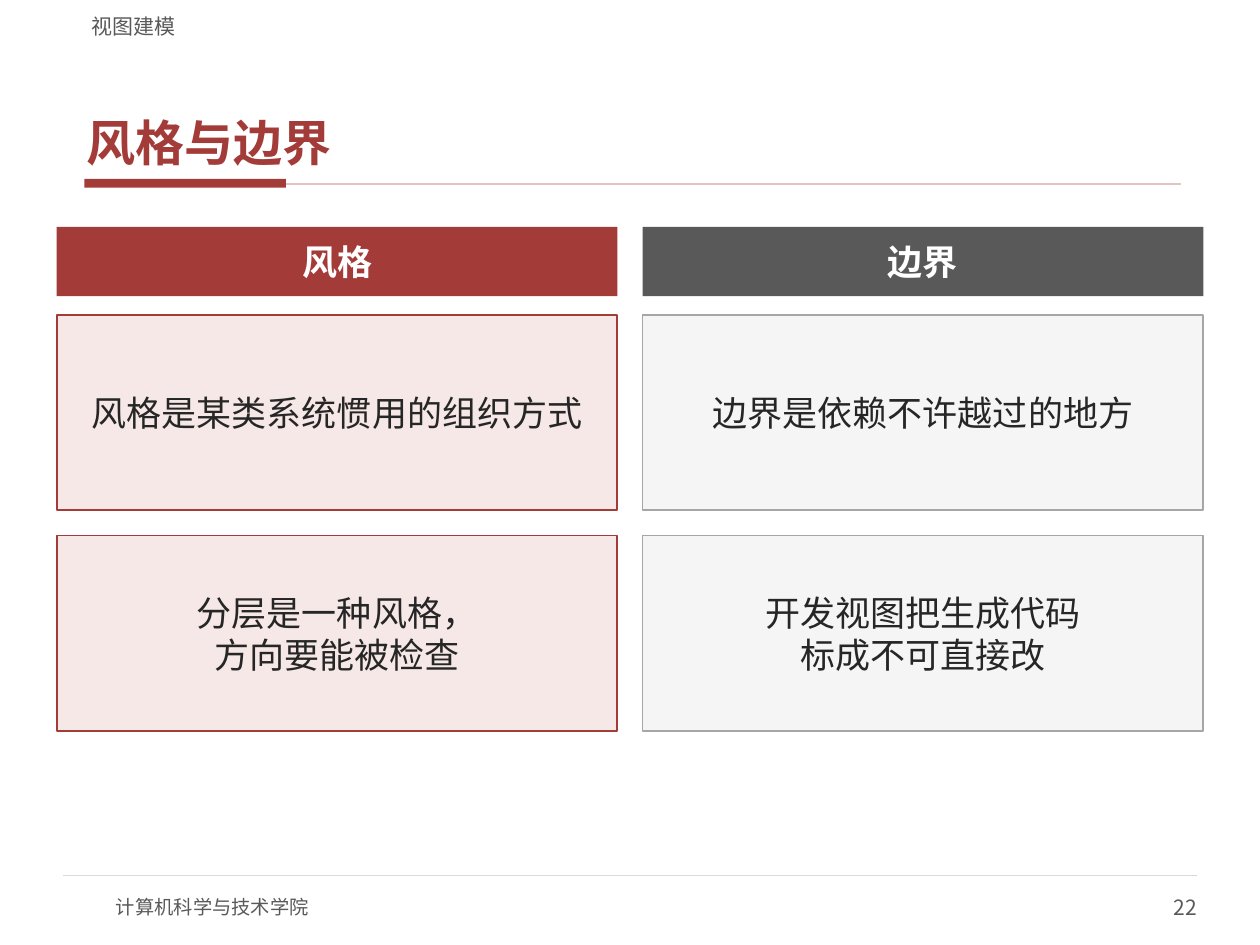
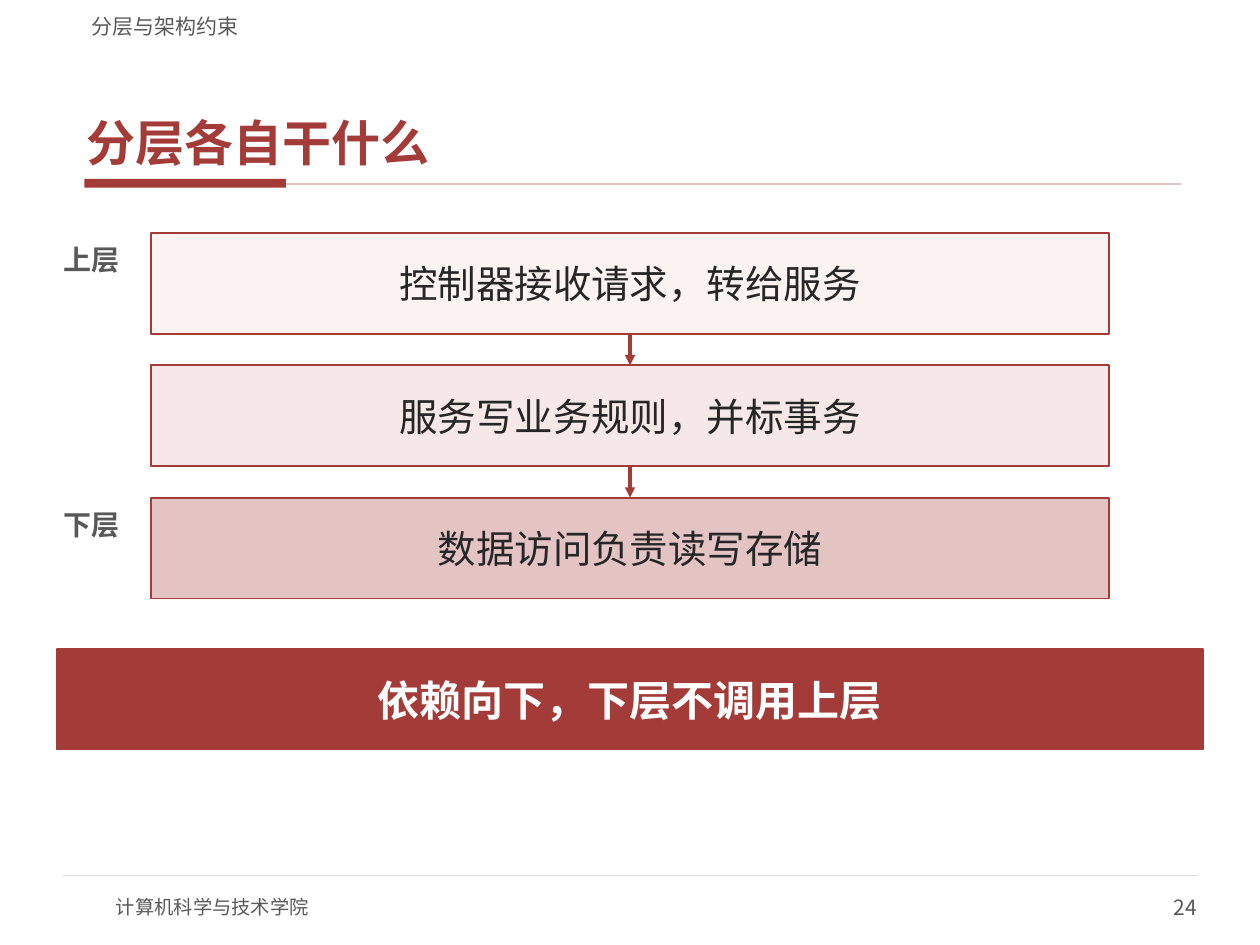
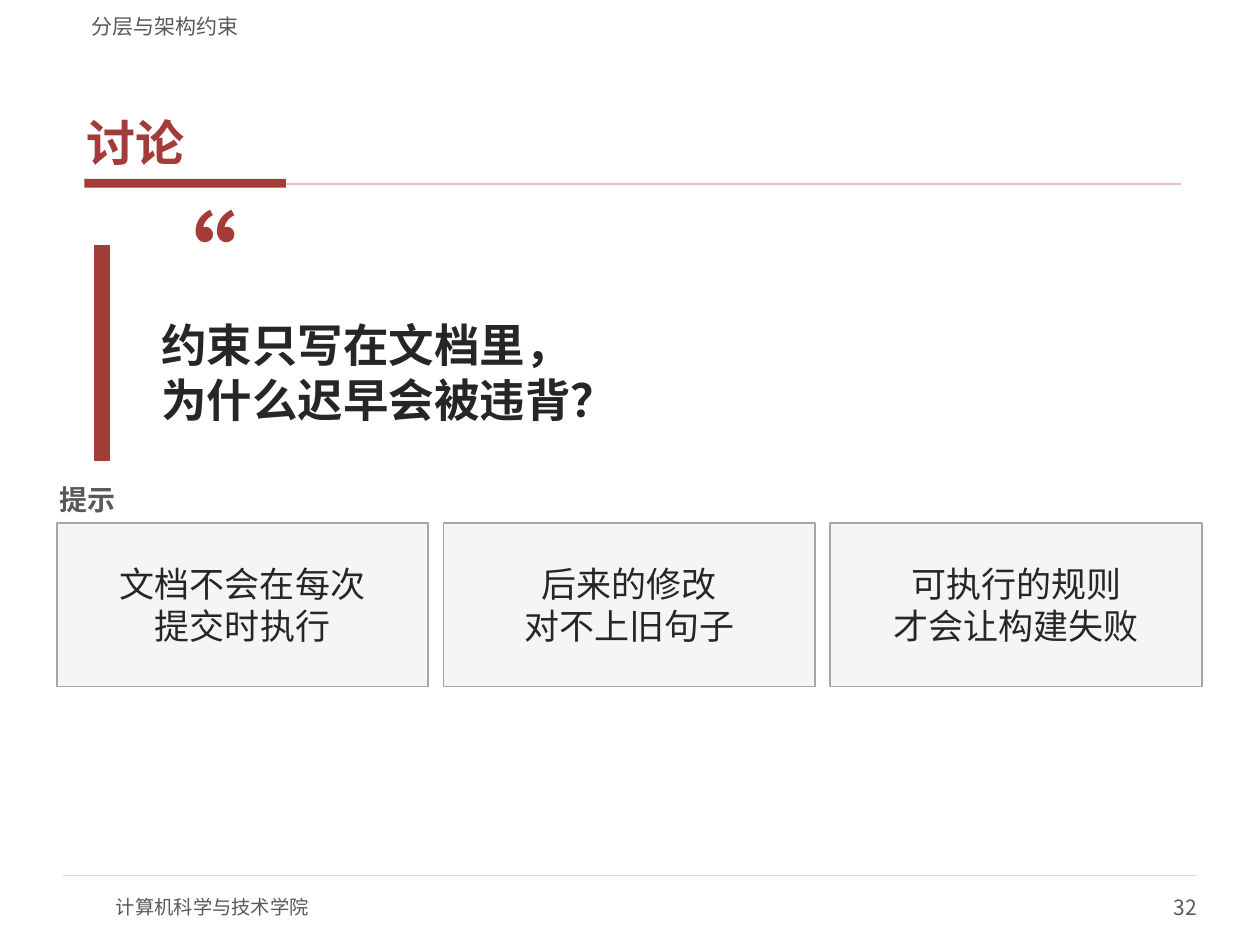
"""Build three course slides on architecture style, layering and constraints."""
from dataclasses import dataclass

from lxml.etree import SubElement
from pptx import Presentation
from pptx.dml.color import RGBColor
from pptx.enum.lang import MSO_LANGUAGE_ID
from pptx.enum.shapes import MSO_CONNECTOR, MSO_SHAPE
from pptx.enum.text import MSO_ANCHOR, MSO_AUTO_SIZE, PP_ALIGN
from pptx.oxml.ns import qn
from pptx.util import Pt

RECT, STRAIGHT = MSO_SHAPE.RECTANGLE, MSO_CONNECTOR.STRAIGHT
LEFT, CENTER, RIGHT = PP_ALIGN.LEFT, PP_ALIGN.CENTER, PP_ALIGN.RIGHT
TOP, MIDDLE, BOTTOM = MSO_ANCHOR.TOP, MSO_ANCHOR.MIDDLE, MSO_ANCHOR.BOTTOM
NO_FIT, CHINESE = MSO_AUTO_SIZE.NONE, MSO_LANGUAGE_ID.SIMPLIFIED_CHINESE
PX = 9144


@dataclass(frozen=True)
class Theme:
    font: str = "Noto Sans CJK SC"
    red: str = "A33B38"
    rose: str = "E3C4C2"
    pink: str = "F6E8E6"
    blush: str = "FBF3F2"
    ink: str = "262626"
    gray: str = "595959"
    edge: str = "A6A6A6"
    rule: str = "D9D9D9"
    pale: str = "F5F5F5"
    white: str = "FFFFFF"
    title: int = 28
    quote: int = 60
    question: int = 26
    banner: int = 24
    layer: int = 22
    body: int = 20
    label: int = 16
    small: int = 12
    footer: int = 11


T = Theme()


def write(sp, text, size=T.body, color=T.ink, bold=False, align=CENTER,
          anchor=MIDDLE, inset=(8, 4), after=0):
    tf = sp.text_frame
    tf.word_wrap, tf.auto_size, tf.vertical_anchor = True, NO_FIT, anchor
    tf.margin_left = tf.margin_right = inset[0] * PX
    tf.margin_top = tf.margin_bottom = inset[1] * PX
    p = tf.paragraphs[0]
    p.text, p.alignment, p.space_after = text, align, Pt(after)
    for r in p.runs:
        r.font.size, r.font.bold, r.font.name = Pt(size), bold, T.font
        r.font.color.rgb = RGBColor.from_string(color)
        r.font.language_id = CHINESE
        SubElement(r.font._element, qn("a:ea"), typeface=T.font)


def box(s, at, text="", fill=None, line=None, **fmt):
    at = [v * PX for v in at]
    if fill:
        sp = s.shapes.add_shape(RECT, *at)
        sp.shadow.inherit = False
        sp.fill.solid()
        sp.fill.fore_color.rgb = RGBColor.from_string(fill)
        if line:
            sp.line.color.rgb = RGBColor.from_string(line)
            sp.line.width = Pt(1)
        else:
            sp.line.fill.background()
    else:
        sp = s.shapes.add_textbox(*at)
    write(sp, text, **fmt)
    return sp


prs = Presentation()
prs.slide_width, prs.slide_height = 1000 * PX, 750 * PX
layout = prs.slide_layouts[5]
for ph in list(layout.placeholders)[1:]:
    ph._element.getparent().remove(ph._element)

PAGES = [
    ("视图建模", "风格与边界", "22"),
    ("分层与架构约束", "分层各自干什么", "24"),
    ("分层与架构约束", "讨论", "32"),
]
slides = [prs.slides.add_slide(layout) for page in PAGES]
compare, layers, discuss = slides
lines = []

shared = [box(compare, (67, 142, 160, 7), fill=T.red)]
for x1, x2, y, color, width in [(227, 937, 146, T.rose, 1), (50, 950, 695, T.rule, 0.75)]:
    cx = compare.shapes.add_connector(STRAIGHT, x1 * PX, y * PX, x2 * PX, y * PX)
    lines.append((cx, color, width, False))
    shared.append(cx)
shared.append(box(compare, (92, 700, 400, 40), "计算机科学与技术学院",
                  size=T.footer, color=T.gray, align=LEFT, inset=(0, 0)))
for sp in shared:
    layout.shapes._spTree.append(sp._element)

for s, (section, title, number) in zip(slides, PAGES):
    sp = s.shapes.title
    sp.left, sp.top, sp.width, sp.height = 63 * PX, 33 * PX, 875 * PX, 105 * PX
    write(sp, title, size=T.title, color=T.red, bold=True, align=LEFT,
          anchor=BOTTOM, inset=(6, 2), after=2)
    box(s, (63, 4, 875, 27), section, size=T.small, color=T.gray, align=LEFT,
        anchor=BOTTOM, inset=(10, 0))
    box(s, (750, 700, 200, 40), number, size=T.small, color=T.gray, align=RIGHT,
        inset=(0, 0))

COLUMNS = [
    ("风格", T.red, T.pink, T.red,
     ["风格是某类系统惯用的组织方式", "分层是一种风格，\n方向要能被检查"]),
    ("边界", T.gray, T.pale, T.edge,
     ["边界是依赖不许越过的地方", "开发视图把生成代码\n标成不可直接改"]),
]
for col, (head, head_fill, fill, line, cards) in enumerate(COLUMNS):
    x = 45 + 465 * col
    box(compare, (x, 180, 445, 55), head, fill=head_fill, color=T.white, bold=True)
    for row, card in enumerate(cards):
        box(compare, (x, 250 + 175 * row, 445, 155), card, fill=fill, line=line)

LAYERS = [
    ("控制器接收请求，转给服务", T.blush, "上层"),
    ("服务写业务规则，并标事务", T.pink, ""),
    ("数据访问负责读写存储", T.rose, "下层"),
]
upper = None
for i, (text, fill, label) in enumerate(LAYERS):
    y = 185 + 105 * i
    layer = box(layers, (120, y, 760, 80), text, fill=fill, line=T.red, size=T.layer)
    if label:
        box(layers, (30, y + 5, 85, 32), label, size=T.label, color=T.gray, bold=True,
            inset=(2, 1))
    if upper:
        cx = layers.shapes.add_connector(STRAIGHT, 0, 0, 0, 0)
        cx.begin_connect(upper, 2)
        cx.end_connect(layer, 0)
        lines.append((cx, T.red, 1.75, True))
    upper = layer
box(layers, (45, 515, 910, 80), "依赖向下，下层不调用上层", fill=T.red, line=T.red,
    size=T.banner, color=T.white, bold=True)

box(discuss, (75, 195, 12, 170), fill=T.red, line=T.red)
box(discuss, (105, 155, 100, 100), "“", size=T.quote, color=T.red, bold=True,
    align=LEFT, anchor=TOP, inset=(0, 0))
box(discuss, (120, 220, 835, 150), "约束只写在文档里，\n为什么迟早会被违背？",
    size=T.question, bold=True, align=LEFT)
box(discuss, (45, 380, 300, 32), "提示", size=T.label, color=T.gray, bold=True,
    align=LEFT, inset=(2, 1))
HINTS = ["文档不会在每次\n提交时执行", "后来的修改\n对不上旧句子", "可执行的规则\n才会让构建失败"]
for i, hint in enumerate(HINTS):
    box(discuss, (45 + 307 * i, 415, 295, 130), hint, fill=T.pale, line=T.edge)

for cx, color, width, arrow in lines:
    cx.line.color.rgb = RGBColor.from_string(color)
    cx.line.width = Pt(width)
    if arrow:
        SubElement(cx.line._get_or_add_ln(), qn("a:tailEnd"), type="triangle")
    SubElement(cx._element.spPr, qn("a:effectLst"))

prs.save("out.pptx")
